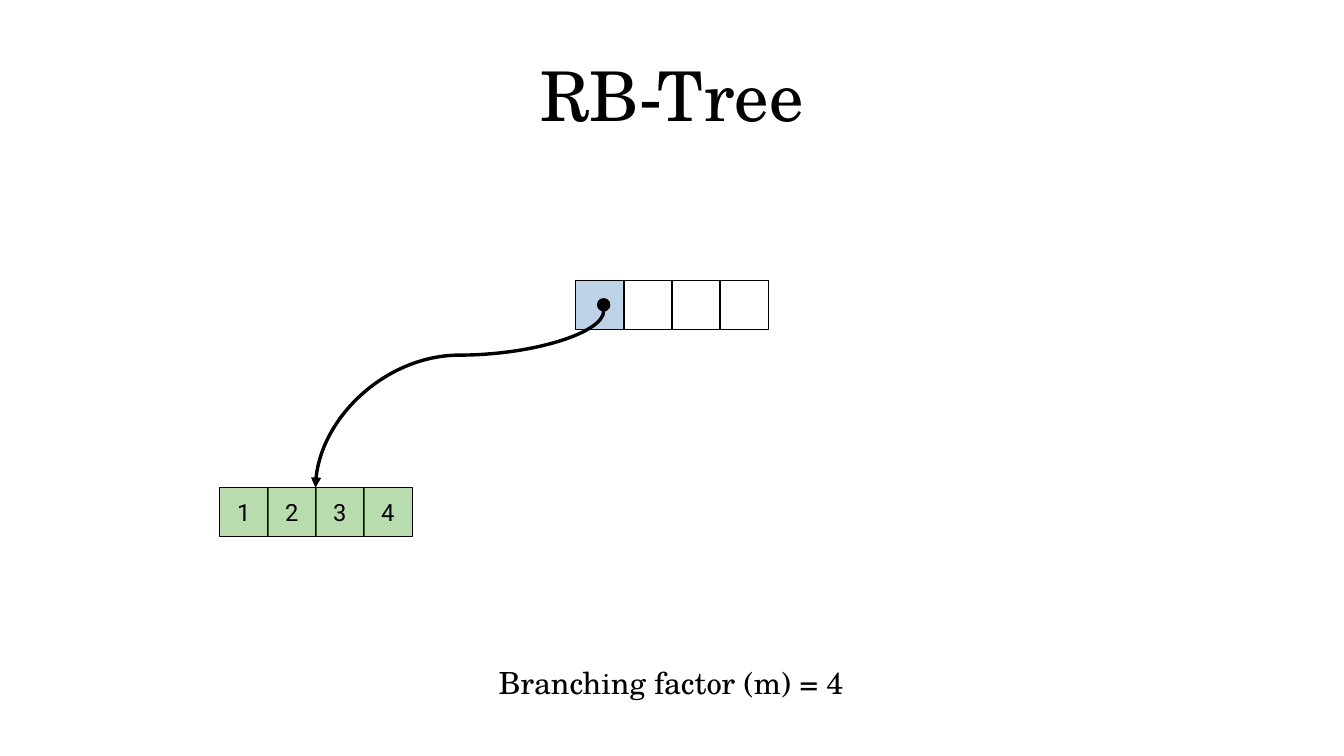
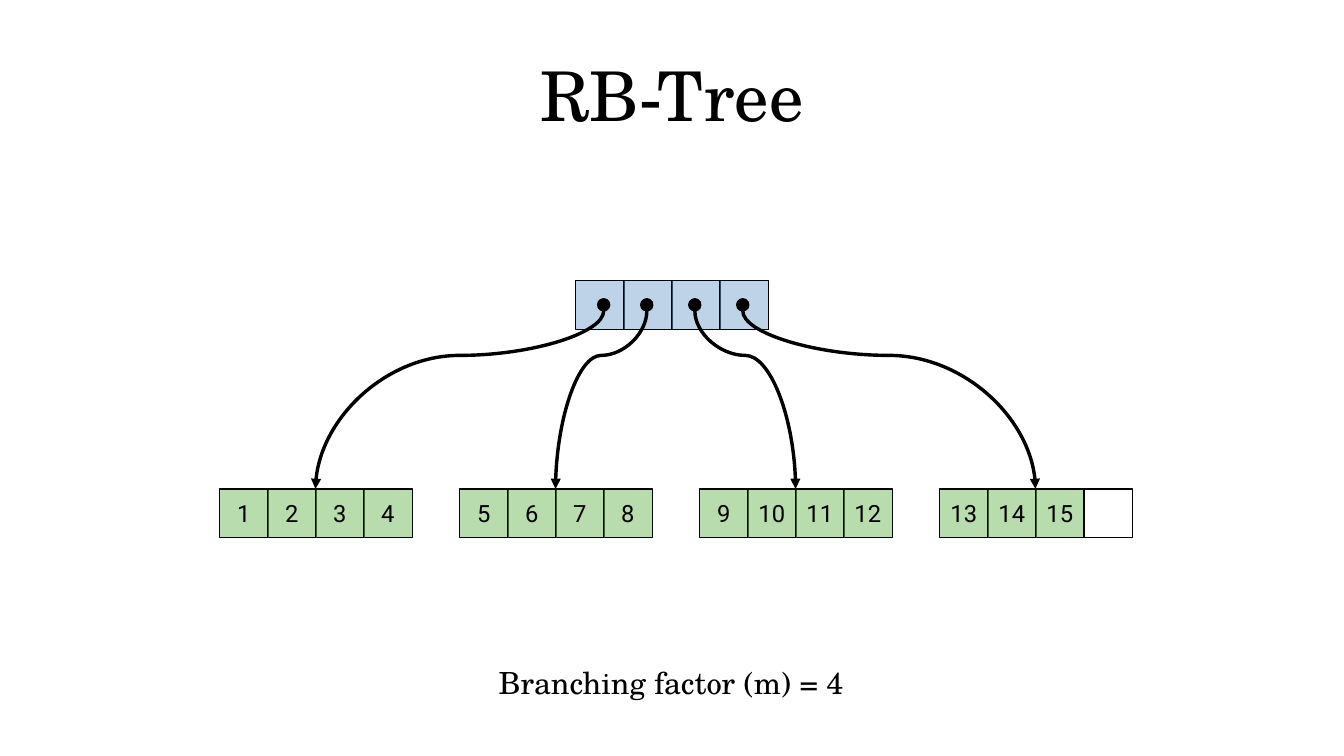
from lxml import etree
from pptx import Presentation, util as u
from pptx.dml.color import RGBColor
from pptx.enum import shapes, text
from pptx.oxml.ns import qn

W, H = 11.02, 6.2
COL = W / 28            # pitch of the cells
BOX = 0.4               # side of a cell
DOT = 0.1
ROOT, ROW = 4.72, 2.3   # root node: left, top
LEAF = 1.8              # left of the first leaf
M = 4                   # branching factor
BLACK, GREEN, BLUE = "000000", "77BC65", "729FCF"
KIND = shapes.MSO_SHAPE
MID = text.MSO_ANCHOR.MIDDLE
ALIGN = text.PP_ALIGN


def write(frame, words, font="TeX Gyre Schola", size=18, align=ALIGN.LEFT,
          anchor=text.MSO_ANCHOR.TOP, wrap=True, pad=(0.1, 0.05)):
    frame.word_wrap, frame.vertical_anchor = wrap, anchor
    frame.margin_left = frame.margin_right = u.Inches(pad[0])
    frame.margin_top = frame.margin_bottom = u.Inches(pad[1])
    par = frame.paragraphs[0]
    par.alignment = align
    run = par.add_run()
    run.text = words
    run.font.name, run.font.size = font, u.Pt(size)
    run.font.color.rgb = RGBColor.from_string(BLACK)


def draw(slide, kind, x, y, side, color=None, alpha=100):
    box = slide.shapes.add_shape(kind, *map(u.Inches, (x, y, side, side)))
    box.shadow.inherit = False
    box.line.color.rgb = RGBColor.from_string(BLACK)
    box.line.width = 0
    if color is None:
        box.fill.background()
        return box
    box.fill.solid()
    box.fill.fore_color.rgb = RGBColor.from_string(color)
    if alpha < 100:
        tint = box.element.spPr.find(qn("a:solidFill"))[0]
        etree.SubElement(tint, qn("a:alpha")).set("val", str(alpha * 1000))
    return box


deck = Presentation()
deck.slide_width, deck.slide_height = u.Inches(W), u.Inches(H)

# Each slide: number of values held, top of the leaf row
for count, base in ((4, 4.0), (15, 4.01)):
    slide = deck.slides.add_slide(deck.slide_layouts[6])
    leaves = -(-count // M)

    # Title and caption
    title = slide.shapes.add_textbox(*map(u.Inches, (W / 20, 0.25, W * 0.9, 1.04)))
    write(title.text_frame, "RB-Tree", size=40.5, align=ALIGN.CENTER,
          anchor=MID, pad=(0, 0))
    note = slide.shapes.add_textbox(*map(u.Inches, (3.99, 5.4, 3.05, 0.78)))
    write(note.text_frame, f"Branching factor (m) = {M}")

    # Root cells, blue where they point to a leaf
    for i in range(M):
        draw(slide, KIND.RECTANGLE, ROOT + i * COL, ROW, BOX,
             BLUE if i < leaves else None, 46)

    # Leaf cells, M to a leaf, one empty column between leaves
    for i in range(leaves * M):
        x = LEAF + (i + i // M) * COL
        full = i < count
        cell = draw(slide, KIND.RECTANGLE, x, base, BOX, GREEN if full else None, 52)
        if full:
            write(cell.text_frame, str(i + 1), font="Roboto", size=14,
                  align=ALIGN.CENTER, anchor=MID, wrap=False)

    # Pointers: a dot in the root, a curve to the middle of the leaf
    for i in range(leaves):
        x = 4.95 if i == 0 else 4.91 + i * COL
        y = ROW + 0.25
        end = LEAF + (5 * i + 2) * COL
        tall, wide = base - y, abs(end - x)
        left, top = (x + end - tall) / 2, (y + base - wide) / 2
        # The curve is laid flat, then turned to leave downwards
        curve = slide.shapes.add_connector(
            shapes.MSO_CONNECTOR.CURVE,
            *map(u.Inches, (left, top, left + tall, top + wide)))
        curve.line.color.rgb = RGBColor.from_string(BLACK)
        curve.line.width = 0
        props = curve.element.spPr
        turn = props.find(qn("a:xfrm"))
        turn.set("rot", str((90 if end < x else 270) * 60000))
        if end > x:
            turn.set("flipH", "1")
        shape = props.find(qn("a:prstGeom"))
        bend = etree.SubElement(shape.find(qn("a:avLst")), qn("a:gd"))
        bend.set("name", "adj1")
        bend.set("fmla", "val 25000")
        tip = etree.SubElement(props.find(qn("a:ln")), qn("a:tailEnd"))
        tip.set("type", "triangle")
        etree.SubElement(props, qn("a:effectLst"))
        draw(slide, KIND.OVAL, x - DOT / 2, y - DOT, DOT, BLACK)

deck.save("out.pptx")
